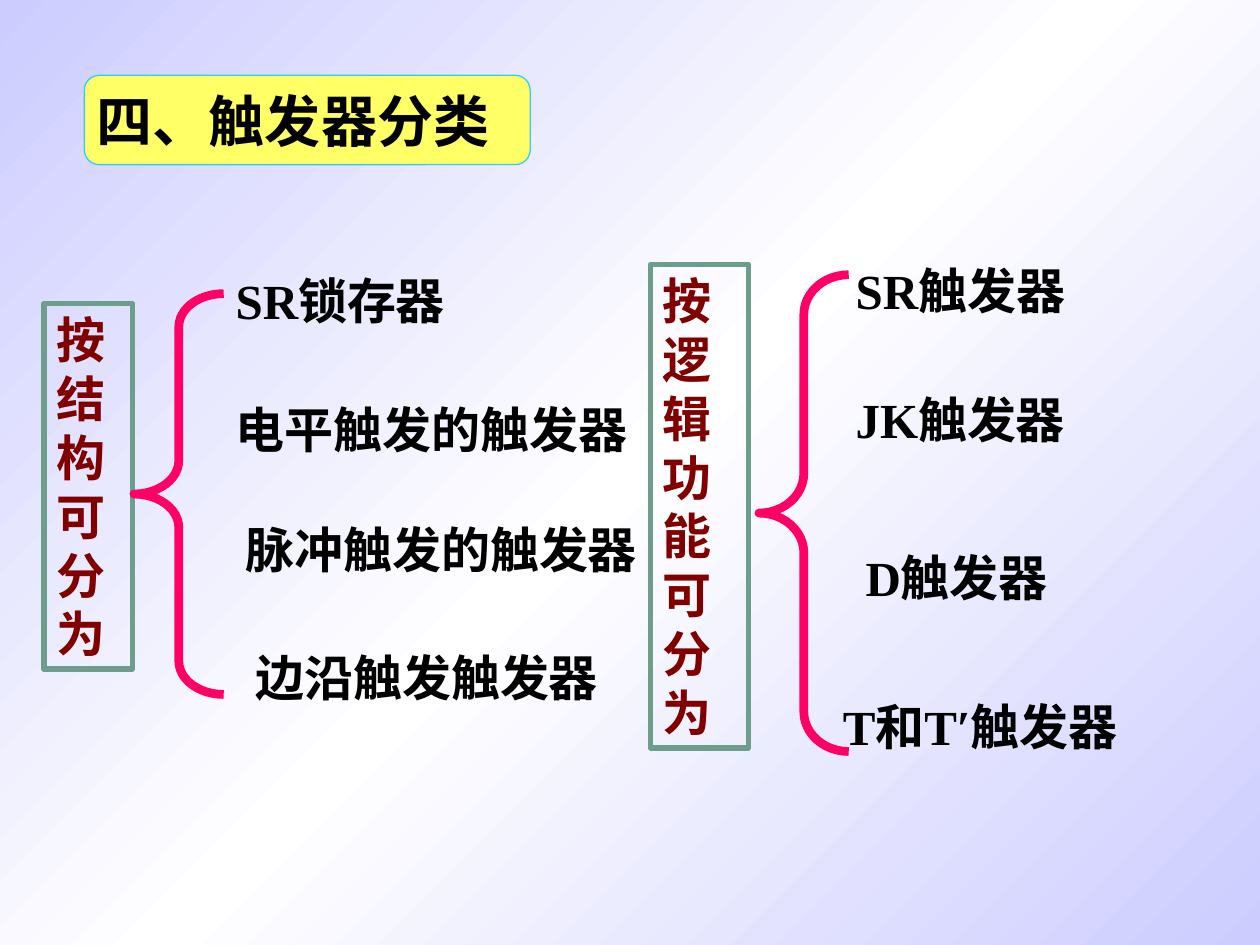
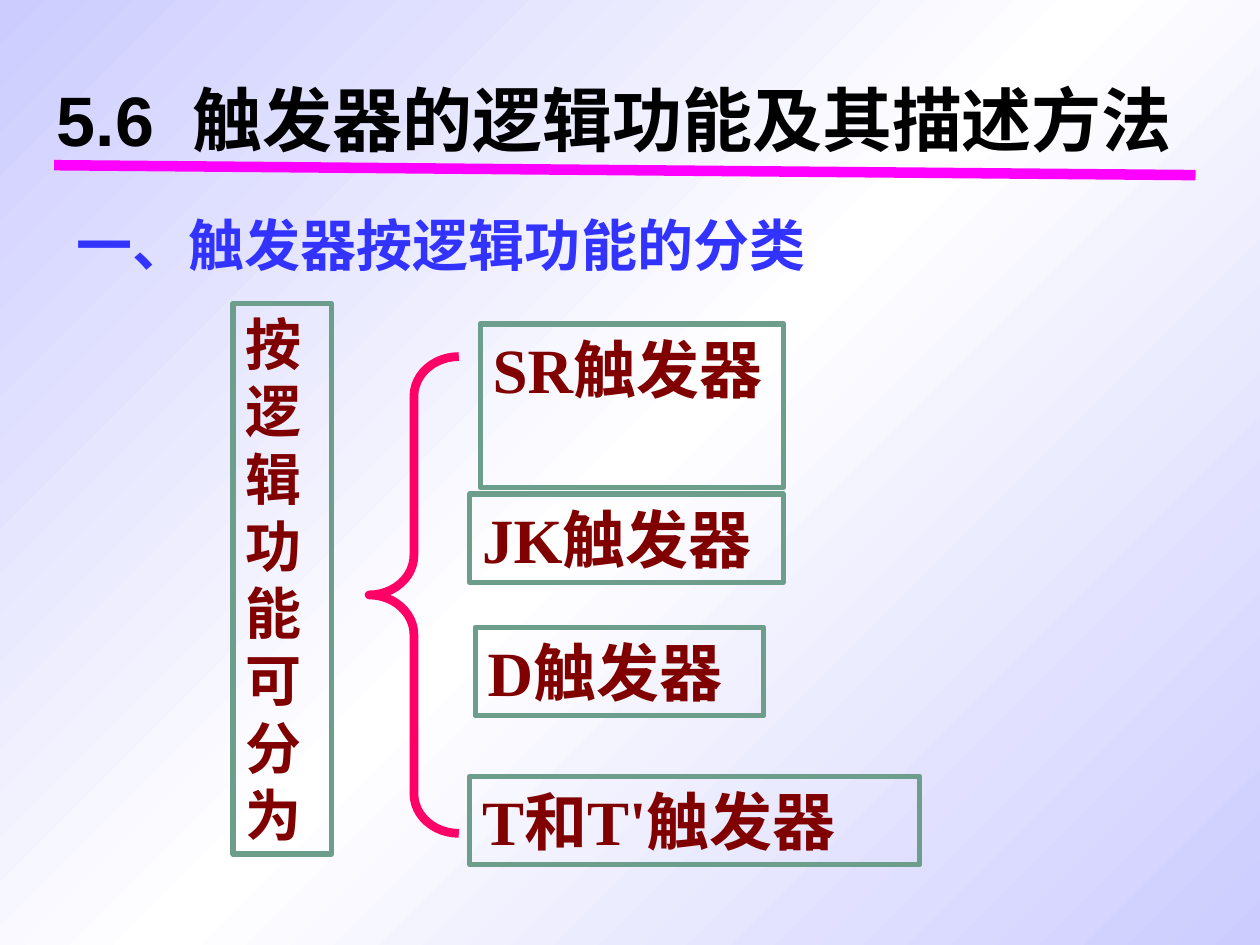
from copy import deepcopy

from pptx import Presentation
from pptx.dml.color import RGBColor
from pptx.enum import shapes, text
from pptx.oxml.ns import qn
from pptx.oxml.xmlchemy import OxmlElement
from pptx.util import Cm, Pt

COLORS = {
    "edge": "CCCCFF", "centre": "FFFFFF", "text": "000000", "maroon": "800000",
    "frame": "6D9D8B", "brace": "FF0066", "panel": "FFFF66", "panel_line": "33CCFF",
    "rule": "FF00FF", "heading": "3333FF",
}
SERIF, SANS = "Times New Roman", "Arial"
BRACE_W = 1.81
LABEL_H, BOX_H = 1.45, 1.78

OVERVIEW_TITLE = ("四、触发器分类", (1.7, 1.52, 8.99, 1.8))
OVERVIEW_GROUPS = [
    {
        "heading": ("按结构可分为", (0.89, 6.12, 1.78, 7.37)),
        "brace": (2.7, 5.92, BRACE_W, 8.08),
        "labels": [
            ("SR锁存器", (4.5, 5.33, 9.75)),
            ("电平触发的触发器", (4.5, 7.92, 9.75)),
            ("脉冲触发的触发器", (4.7, 10.34, 9.75)),
            ("边沿触发触发器", (4.9, 12.93, 7.8)),
        ],
    },
    {
        "heading": ("按逻辑功能可分为", (13.11, 5.33, 1.98, 9.75)),
        "brace": (15.3, 5.54, BRACE_W, 9.61),
        "labels": [
            ("SR触发器", (17, 5.13, 5.18)),
            ("JK触发器", (17, 7.72, 5.18)),
            ("D触发器", (17.2, 10.92, 4.62)),
            ("T和T′触发器", (16.74, 13.92, 6.99)),
        ],
    },
]

FUNCTION_TITLE = ("5.6  触发器的逻辑功能及其描述方法", (0.89, 1.6, 24.51, 1.78))
FUNCTION_HEADING = ("一、触发器按逻辑功能的分类", (1.3, 4.11, 15.6, 1.63))
FUNCTION_GROUP = {
    "heading": ("按逻辑功能可分为", (4.7, 6.12, 1.98, 11.1)),
    "brace": (7.44, 7.19, BRACE_W, 9.61),
    "boxes": [
        ("SR触发器", (9.68, 6.53, 6.12, 3.3)),
        ("JK触发器", (9.47, 9.96, 6.32, BOX_H)),
        ("D触发器", (9.58, 12.65, 5.82, BOX_H)),
        ("T和T'触发器", (9.47, 15.65, 9.07, BOX_H)),
    ],
}
TITLE_RULE = (1.09, 3.33, 24.1, 3.53)


def rgb(name):
    return RGBColor.from_string(COLORS[name])


def cm(values):
    return [Cm(v) for v in values]


def set_background(master):
    fill = master.background.fill
    fill.gradient()
    fill.gradient_angle = 135
    stops = master.element.find(".//" + qn("a:gsLst"))
    stops.insert(1, deepcopy(stops[0]))
    looks = zip(fill.gradient_stops, (0, 0.5, 1), ("edge", "centre", "edge"))
    for stop, position, color in looks:
        stop.position = position
        stop.color.rgb = rgb(color)


def write(sp, words, size, color, font=SERIF, before=0,
          anchor=text.MSO_ANCHOR.TOP):
    tf = sp.text_frame
    tf.word_wrap = True
    tf.auto_size = text.MSO_AUTO_SIZE.NONE
    tf.vertical_anchor = anchor
    p = tf.paragraphs[0]
    p.text = words
    p.alignment = text.PP_ALIGN.LEFT
    p.space_before = Pt(before)
    p.font.size = Pt(size)
    p.font.bold = True
    p.font.name = font
    p.font.color.rgb = rgb(color)


def add_title(s, words, at, size):
    sp = s.shapes.title
    sp.left, sp.top, sp.width, sp.height = cm(at)
    write(sp, words, size, "text", SANS, anchor=text.MSO_ANCHOR.MIDDLE)
    return sp


def add_outline(s, kind, at, line, width):
    sp = s.shapes.add_shape(kind, *cm(at))
    sp.shadow.inherit = False
    sp.fill.background()
    sp.line.color.rgb = rgb(line)
    sp.line.width = Pt(width)
    return sp


def add_label(s, words, at, size, color):
    write(s.shapes.add_textbox(*cm(at)), words, size, color, before=size * 0.625)


def add_box(s, words, at, size):
    sp = add_outline(s, shapes.MSO_SHAPE.RECTANGLE, at, "frame", 3)
    write(sp, words, size, "maroon", before=size * 0.625)


def add_brace(s, at):
    sp = add_outline(s, shapes.MSO_SHAPE.LEFT_BRACE, at, "brace", 5)
    sp.adjustments[0] = at[3] / at[2] / 12


def add_rule(s, ends):
    line = s.shapes.add_connector(shapes.MSO_CONNECTOR.STRAIGHT, *cm(ends))
    line.line.color.rgb = rgb("rule")
    line.line.width = Pt(6)
    line.element.spPr.append(OxmlElement("a:effectLst"))


def build_overview(s):
    words, at = OVERVIEW_TITLE
    title = add_title(s, words, at, 32)
    panel = add_outline(s, shapes.MSO_SHAPE.ROUNDED_RECTANGLE, at, "panel_line", 0.75)
    panel.fill.solid()
    panel.fill.fore_color.rgb = rgb("panel")
    title.element.addprevious(panel.element)
    for group in OVERVIEW_GROUPS:
        add_box(s, *group["heading"], 28)
        add_brace(s, group["brace"])
        for label, place in group["labels"]:
            add_label(s, label, (*place, LABEL_H), 28, "text")


def build_functions(s):
    title = add_title(s, *FUNCTION_TITLE, 40)
    title.text_frame.paragraphs[0].line_spacing = 0.9
    add_rule(s, TITLE_RULE)
    add_label(s, *FUNCTION_HEADING, 32, "heading")
    add_box(s, *FUNCTION_GROUP["heading"], 32)
    add_brace(s, FUNCTION_GROUP["brace"])
    for words, at in FUNCTION_GROUP["boxes"]:
        add_box(s, words, at, 36)


def main():
    prs = Presentation()
    prs.slide_width, prs.slide_height = Cm(25.4), Cm(19.05)
    set_background(prs.slide_master)
    for build in (build_overview, build_functions):
        build(prs.slides.add_slide(prs.slide_layouts.get_by_name("Title Only")))
    prs.save("out.pptx")


if __name__ == "__main__":
    main()
